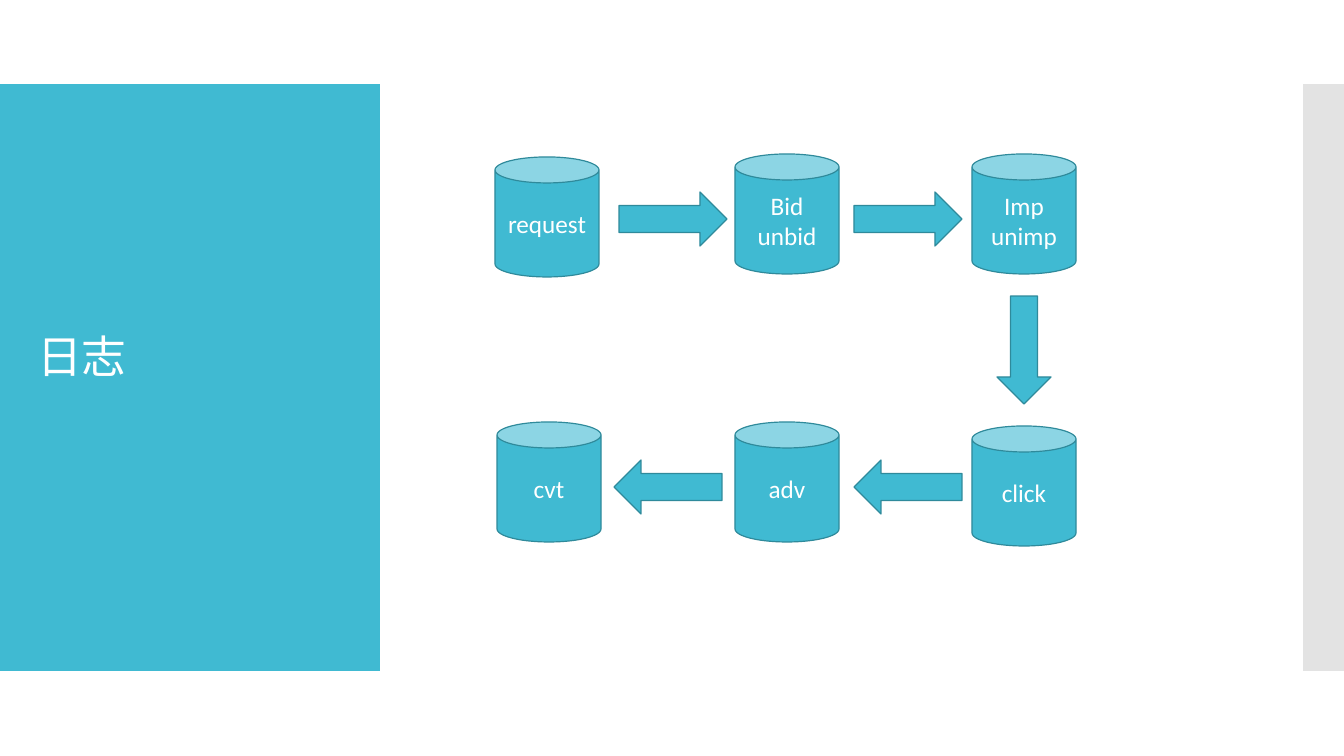
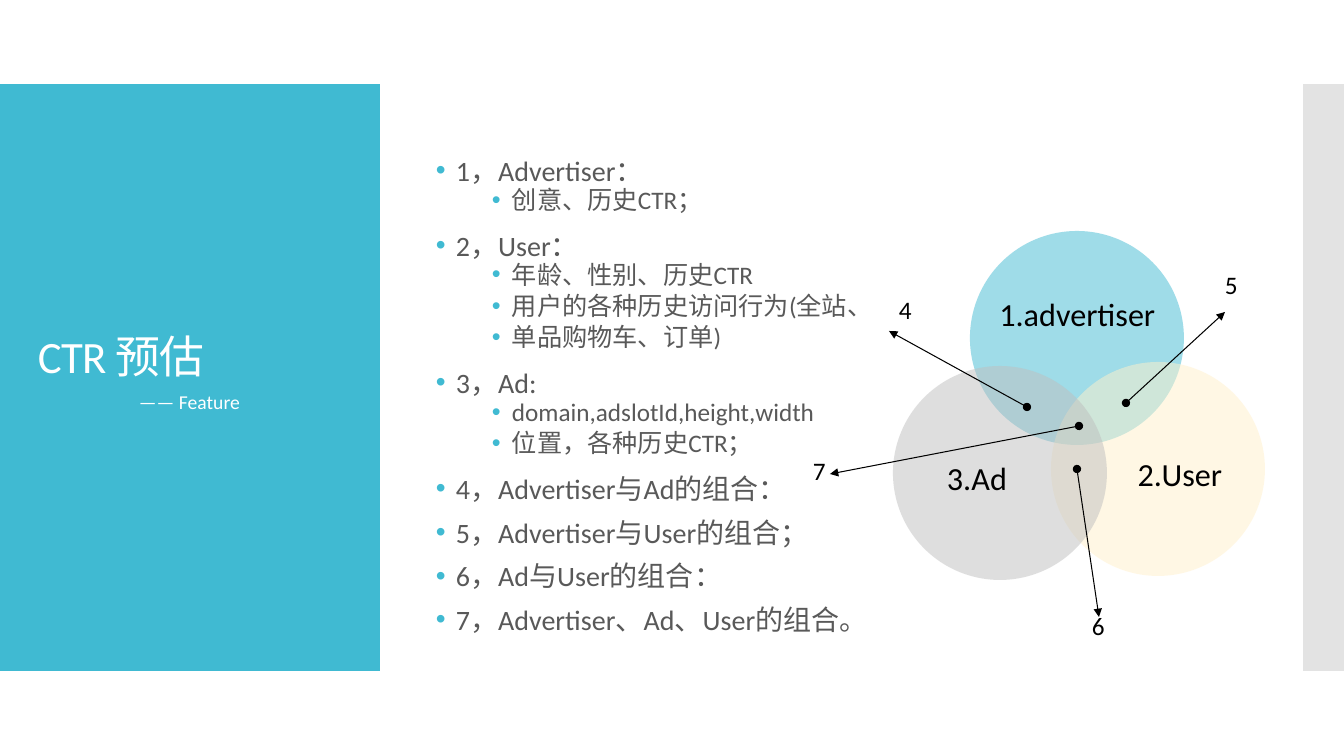
import dataclasses
import typing

import lxml.etree
import pptx
import pptx.dml.color
import pptx.enum.shapes
import pptx.enum.text
import pptx.oxml.ns
import pptx.util

SHAPE = pptx.enum.shapes.MSO_SHAPE
ALIGN = pptx.enum.text.PP_ALIGN
ANCHOR = pptx.enum.text.MSO_ANCHOR
qn = pptx.oxml.ns.qn


@dataclasses.dataclass(frozen=True)
class Theme:
    font: str = "Calibri"
    accent: str = "40BAD2"
    outline: str = "2F8A9B"
    edge: str = "C8C8C8"
    white: str = "FFFFFF"
    black: str = "000000"
    body: str = "595959"
    cream: str = "FFF1CB"
    silver: str = "BFBFBF"
    title_size: int = 32
    circle_size: int = 23
    topic_size: int = 20
    detail_size: int = 18
    subtitle_size: int = 14
    outline_width: float = 0.85
    pointer_width: float = 0.75


THEME = Theme()


class Box(typing.NamedTuple):
    left: int
    top: int
    width: int
    height: int


class TextStyle(typing.NamedTuple):
    size: int
    color: str
    align: typing.Any = ALIGN.LEFT
    anchor: typing.Any = ANCHOR.TOP
    line_spacing: float = 1.0
    tracking: int = 0
    inset: bool = True
    wrap: bool = True


class Log(typing.NamedTuple):
    name: str
    left: int
    top: int


class Step(typing.NamedTuple):
    preset: typing.Any
    left: int
    top: int


class Topic(typing.NamedTuple):
    heading: str
    details: tuple[str, ...] = ()


class Circle(typing.NamedTuple):
    label: str
    color: str
    left: int
    top: int
    label_box: Box


class Pointer(typing.NamedTuple):
    number: str
    start: tuple[int, int]
    end: tuple[int, int]
    number_at: tuple[int, int]


SLIDE = (1344, 756)
TITLE_BAND = Box(0, 84, 380, 587)
EDGE_BAND = Box(1303, 84, 41, 587)
TITLE = Box(28, 126, 313, 262)
SUBTITLE = Box(28, 385, 313, 256)
FEATURES = Box(426, 140, 860, 516)
LOG_SIZE = (104, 120)
ARROW_LENGTH, ARROW_BREADTH = 108, 54
CIRCLE_DIAMETER = 214
NUMBER_SIZE = (36, 40)
SUBTITLE_INDENT, HANGING = 101, 20
TOPIC_INDENT, DETAIL_INDENT = 20, 76

TITLE_STYLE = TextStyle(THEME.title_size, THEME.white, anchor=ANCHOR.BOTTOM,
                        line_spacing=0.9, tracking=-60)
SUBTITLE_STYLE = TextStyle(THEME.subtitle_size, THEME.white)
LOG_STYLE = TextStyle(THEME.detail_size, THEME.white, ALIGN.CENTER, ANCHOR.MIDDLE)
CIRCLE_STYLE = TextStyle(THEME.circle_size, THEME.black, ALIGN.CENTER, ANCHOR.MIDDLE,
                         line_spacing=0.9, inset=False, wrap=False)
NUMBER_STYLE = TextStyle(THEME.detail_size, THEME.black)
TOPIC_STYLE = TextStyle(THEME.topic_size, THEME.body, line_spacing=0.8)
DETAIL_STYLE = TOPIC_STYLE._replace(size=THEME.detail_size)

LOGS = (
    Log("request", 495, 157),
    Log("Bid\nunbid", 735, 154),
    Log("Imp\nunimp", 972, 154),
    Log("click", 972, 426),
    Log("adv", 735, 422),
    Log("cvt", 497, 422),
)
STEPS = (
    Step(SHAPE.RIGHT_ARROW, 619, 192),
    Step(SHAPE.RIGHT_ARROW, 854, 192),
    Step(SHAPE.DOWN_ARROW, 997, 296),
    Step(SHAPE.LEFT_ARROW, 854, 460),
    Step(SHAPE.LEFT_ARROW, 614, 460),
)
TOPICS = (
    Topic("1，Advertiser：", ("创意、历史CTR；",)),
    Topic("2，User：", ("年龄、性别、历史CTR", "用户的各种历史访问行为(全站、", "单品购物车、订单)")),
    Topic("3，Ad:", ("domain,adslotId,height,width", "位置，各种历史CTR；")),
    Topic("4，Advertiser与Ad的组合："),
    Topic("5，Advertiser与User的组合；"),
    Topic("6，Ad与User的组合："),
    Topic("7，Advertiser、Ad、User的组合。"),
)
CIRCLES = (
    Circle("1.advertiser", THEME.accent, 970, 231, Box(999, 268, 157, 97)),
    Circle("2.User", THEME.cream, 1051, 362, Box(1116, 417, 128, 118)),
    Circle("3.Ad", THEME.silver, 893, 366, Box(913, 421, 128, 118)),
)
POINTERS = (
    Pointer("4", (1027, 407), (889, 331), (889, 289)),
    Pointer("5", (1126, 403), (1225, 312), (1215, 264)),
    Pointer("6", (1077, 469), (1099, 617), (1082, 605)),
    Pointer("7", (1079, 426), (830, 474), (803, 450)),
)


def px(length: int) -> pptx.util.Emu:
    return pptx.util.Emu(round(length * 914400 / 100.8))


def rgb(color: str) -> pptx.dml.color.RGBColor:
    return pptx.dml.color.RGBColor.from_string(color)


def apply(target: typing.Any, formats: dict[str, typing.Any]) -> None:
    for attribute, value in formats.items():
        setattr(target, attribute, value)


def write_paragraph(paragraph: typing.Any, text: str, style: TextStyle) -> None:
    apply(paragraph, {"alignment": style.align, "line_spacing": style.line_spacing})
    run = paragraph.add_run()
    run.text = text
    apply(run.font, {"name": THEME.font, "size": pptx.util.Pt(style.size)})
    run.font.color.rgb = rgb(style.color)
    if style.tracking:
        run.font._element.set("spc", str(style.tracking))


def write(frame: typing.Any, text: str, style: TextStyle) -> None:
    apply(frame, {"word_wrap": style.wrap, "vertical_anchor": style.anchor})
    if not style.inset:
        sides = ("left", "top", "right", "bottom")
        apply(frame, {f"margin_{side}": 0 for side in sides})
    for index, line in enumerate(text.split("\n")):
        paragraph = frame.add_paragraph() if index else frame.paragraphs[0]
        write_paragraph(paragraph, line, style)


def add_text(slide: typing.Any, box: Box, text: str, style: TextStyle) -> typing.Any:
    frame = slide.shapes.add_textbox(*map(px, box)).text_frame
    write(frame, text, style)
    return frame


def add_figure(slide: typing.Any, preset: typing.Any, box: Box, color: str,
               outlined: bool = False, opacity: int = 100) -> typing.Any:
    figure = slide.shapes.add_shape(preset, *map(px, box))
    figure.shadow.inherit = False
    figure.fill.solid()
    figure.fill.fore_color.rgb = rgb(color)
    if opacity < 100:
        tint = figure._element.spPr.find(f".//{qn('a:srgbClr')}")
        lxml.etree.SubElement(tint, qn("a:alpha"), val=str(opacity * 1000))
    if outlined:
        figure.line.color.rgb = rgb(THEME.outline)
        figure.line.width = pptx.util.Pt(THEME.outline_width)
    else:
        figure.line.fill.background()
    return figure


def indent(paragraph: typing.Any, margin: int, first_line: int = 0) -> typing.Any:
    properties = paragraph._p.get_or_add_pPr()
    for name, length in {"marL": margin, "indent": first_line}.items():
        properties.set(name, str(px(length)))
    return properties


def add_bullet(paragraph: typing.Any, margin: int) -> None:
    properties = indent(paragraph, margin, -HANGING)
    bullet_color = lxml.etree.SubElement(properties, qn("a:buClr"))
    lxml.etree.SubElement(bullet_color, qn("a:srgbClr"), val=THEME.accent)
    lxml.etree.SubElement(properties, qn("a:buFont"), typeface="Arial")
    lxml.etree.SubElement(properties, qn("a:buChar"), char="•")


def add_features(slide: typing.Any) -> None:
    frame = slide.shapes.add_textbox(*map(px, FEATURES)).text_frame
    apply(frame, {"word_wrap": True, "vertical_anchor": ANCHOR.MIDDLE})
    topic_gap = {"space_before": pptx.util.Pt(12)}
    detail_gap = {"space_before": pptx.util.Pt(2.5), "space_after": pptx.util.Pt(2.5)}
    rows = []
    for topic in TOPICS:
        rows.append((topic.heading, TOPIC_STYLE, topic_gap, TOPIC_INDENT, 0))
        rows += [(detail, DETAIL_STYLE, detail_gap, DETAIL_INDENT, 1)
                 for detail in topic.details]
    for index, (text, style, gap, margin, level) in enumerate(rows):
        paragraph = frame.add_paragraph() if index else frame.paragraphs[0]
        write_paragraph(paragraph, text, style)
        apply(paragraph, {"level": level, **gap})
        add_bullet(paragraph, margin)


def add_pointer(slide: typing.Any, pointer: Pointer) -> None:
    connector = slide.shapes.add_connector(
        pptx.enum.shapes.MSO_CONNECTOR.STRAIGHT,
        *map(px, pointer.start + pointer.end))
    connector.line.color.rgb = rgb(THEME.black)
    connector.line.width = pptx.util.Pt(THEME.pointer_width)
    stroke = connector.line._get_or_add_ln()
    for tip, form in {"a:headEnd": "oval", "a:tailEnd": "triangle"}.items():
        lxml.etree.SubElement(stroke, qn(tip), type=form)
    lxml.etree.SubElement(connector._element.spPr, qn("a:effectLst"))


def start_slide(deck: typing.Any, title: str) -> typing.Any:
    slide = deck.slides.add_slide(deck.slide_layouts[6])
    add_figure(slide, SHAPE.RECTANGLE, TITLE_BAND, THEME.accent)
    add_figure(slide, SHAPE.RECTANGLE, EDGE_BAND, THEME.edge, opacity=50)
    add_text(slide, TITLE, title, TITLE_STYLE)
    return slide


def build_log_slide(deck: typing.Any) -> None:
    slide = start_slide(deck, "日志")
    for log in LOGS:
        can = add_figure(slide, SHAPE.CAN, Box(log.left, log.top, *LOG_SIZE),
                         THEME.accent, outlined=True)
        write(can.text_frame, log.name, LOG_STYLE)
    for step in STEPS:
        extent = (ARROW_LENGTH, ARROW_BREADTH)
        if step.preset == SHAPE.DOWN_ARROW:
            extent = extent[::-1]
        add_figure(slide, step.preset, Box(step.left, step.top, *extent),
                   THEME.accent, outlined=True)


def build_feature_slide(deck: typing.Any) -> None:
    slide = start_slide(deck, "CTR 预估")
    add_features(slide)
    subtitle = add_text(slide, SUBTITLE, "—— Feature", SUBTITLE_STYLE)
    indent(subtitle.paragraphs[0], SUBTITLE_INDENT)
    for circle in CIRCLES:
        box = Box(circle.left, circle.top, CIRCLE_DIAMETER, CIRCLE_DIAMETER)
        add_figure(slide, SHAPE.OVAL, box, circle.color, opacity=50)
        add_text(slide, circle.label_box, circle.label, CIRCLE_STYLE)
    for pointer in POINTERS:
        add_pointer(slide, pointer)
        add_text(slide, Box(*pointer.number_at, *NUMBER_SIZE), pointer.number, NUMBER_STYLE)


def main() -> None:
    deck = pptx.Presentation()
    apply(deck, dict(zip(("slide_width", "slide_height"), map(px, SLIDE))))
    build_log_slide(deck)
    build_feature_slide(deck)
    deck.save("out.pptx")


if __name__ == "__main__":
    main()
